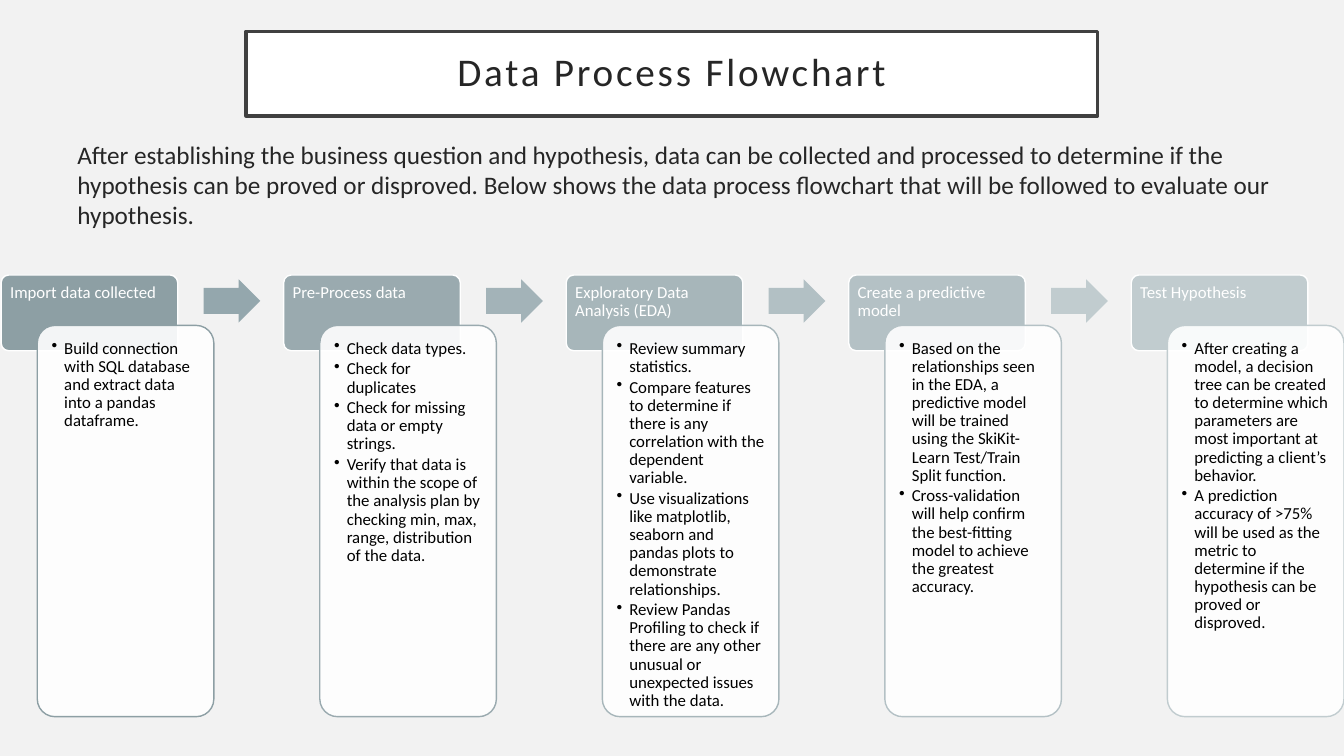
from pptx import Presentation
from pptx import util as u
from pptx.dml.color import RGBColor
from pptx.enum import shapes, text
from pptx.oxml.ns import qn
from lxml import etree

hues = {"back": "F2F2F2", "white": "FFFFFF", "black": "000000", "ink": "262626", "edge": "404040"}
steps = [
    ("Import data collected", "8D9FA4", "94A7AD", [
        "Build connection with SQL database and extract data into a pandas dataframe."]),
    ("Pre-Process data", "9AAAAF", "A3B3B8", [
        "Check data types.",
        "Check for duplicates",
        "Check for missing data or empty strings.",
        "Verify that data is within the scope of the analysis plan by checking min, max, range, "
        "distribution of the data."]),
    ("Exploratory Data Analysis (EDA)", "A7B6BA", "B2C0C4", [
        "Review summary statistics.",
        "Compare features to determine if there is any correlation with the dependent variable.",
        "Use visualizations like matplotlib, seaborn and pandas plots to demonstrate relationships.",
        "Review Pandas Profiling to check if there are any other unusual or unexpected issues "
        "with the data."]),
    ("Create a predictive model", "B4C1C5", "C1CCCF", [
        "Based on the relationships seen in the EDA, a predictive model will be trained using "
        "the SkiKit-Learn Test/Train Split function.",
        "Cross-validation will help confirm the best-fitting model to achieve the greatest accuracy."]),
    ("Test Hypothesis", "C1CCCF", None, [
        "After creating a model, a decision tree can be created to determine which parameters "
        "are most important at predicting a client’s behavior.",
        "A prediction accuracy of >75% will be used as the metric to determine if the hypothesis "
        "can be proved or disproved."]),
]


def draw(kind, box, fill, line=None):
    item = slide.shapes.add_shape(kind, *map(u.Cm, box))
    item.shadow.inherit = False
    item.fill.solid()
    item.fill.fore_color.rgb = RGBColor.from_string(fill)
    if line:
        item.line.color.rgb = RGBColor.from_string(line)
        item.line.width = u.Pt(1)
    else:
        item.line.fill.background()
    return item


def write(item, lines, size, hue, pad=None, gap=0, lead=0.9, align=text.PP_ALIGN.LEFT):
    frame = item.text_frame
    frame.text = "\n".join(lines)
    frame.word_wrap = True
    frame.auto_size = text.MSO_AUTO_SIZE.NONE
    frame.vertical_anchor = text.MSO_ANCHOR.TOP
    if pad is not None:
        frame.margin_left = frame.margin_right = u.Cm(pad)
        frame.margin_top = frame.margin_bottom = u.Cm(pad)
    for para in frame.paragraphs:
        para.alignment = align
        para.line_spacing = lead
        para.space_after = u.Pt(gap)
        font = para.runs[0].font
        font.name = "Calibri"
        font.size = u.Pt(size)
        font.color.rgb = RGBColor.from_string(hue)
    return frame


deck = Presentation()
deck.slide_width, deck.slide_height = u.Cm(33.87), u.Cm(19.05)
slide = deck.slides.add_slide(deck.slide_layouts[5])
slide.background.fill.solid()
slide.background.fill.fore_color.rgb = RGBColor.from_string(hues["back"])

title = slide.shapes.title
title.left, title.top, title.width, title.height = map(u.Cm, (6.2, 0.79, 21.46, 2.13))
title.fill.solid()
title.fill.fore_color.rgb = RGBColor.from_string(hues["white"])
title.line.color.rgb = RGBColor.from_string(hues["edge"])
title.line.width = u.Pt(2.5)
frame = write(title, ["Data Process Flowchart"], 28, hues["ink"], 0.5, align=text.PP_ALIGN.CENTER)
frame.vertical_anchor = text.MSO_ANCHOR.MIDDLE
frame.paragraphs[0].runs[0].font._element.set("spc", "200")

intro = slide.shapes.add_textbox(*map(u.Cm, (1.7, 3.38, 30.96, 2.8)))
write(intro, [
    "After establishing the business question and hypothesis, data can be collected and processed "
    "to determine if the hypothesis can be proved or disproved. Below shows the data process "
    "flowchart that will be followed to evaluate our hypothesis."], 18, hues["ink"], lead=1)

kinds = shapes.MSO_SHAPE
for i, (name, tone, next_tone, notes) in enumerate(steps):
    left = 0.03 + 7.12 * i
    head = draw(kinds.ROUNDED_RECTANGLE, (left, 6.93, 4.45, 1.91), tone, hues["white"])
    head.adjustments[0] = 0.1
    write(head, [name], 12, hues["white"], 0.17)

    card = draw(kinds.ROUNDED_RECTANGLE, (left + 0.91, 8.2, 4.45, 9.86), hues["white"], tone)
    card.adjustments[0] = 0.1
    clear = card.fill._xPr.find(".//" + qn("a:srgbClr"))
    etree.SubElement(clear, qn("a:alpha")).set("val", "90000")
    frame = write(card, notes, 12, hues["black"], 0.23, gap=1.8)
    for para in frame.paragraphs:
        props = para._p.get_or_add_pPr()
        props.set("marL", str(u.Cm(0.32)))
        props.set("indent", str(-u.Cm(0.32)))
        etree.SubElement(props, qn("a:buChar")).set("char", "•")

    if next_tone:
        arrow = draw(kinds.RIGHT_ARROW, (left + 5.1, 7.04, 1.43, 1.09), next_tone)
        arrow.adjustments[0] = 0.6

deck.save("out.pptx")
